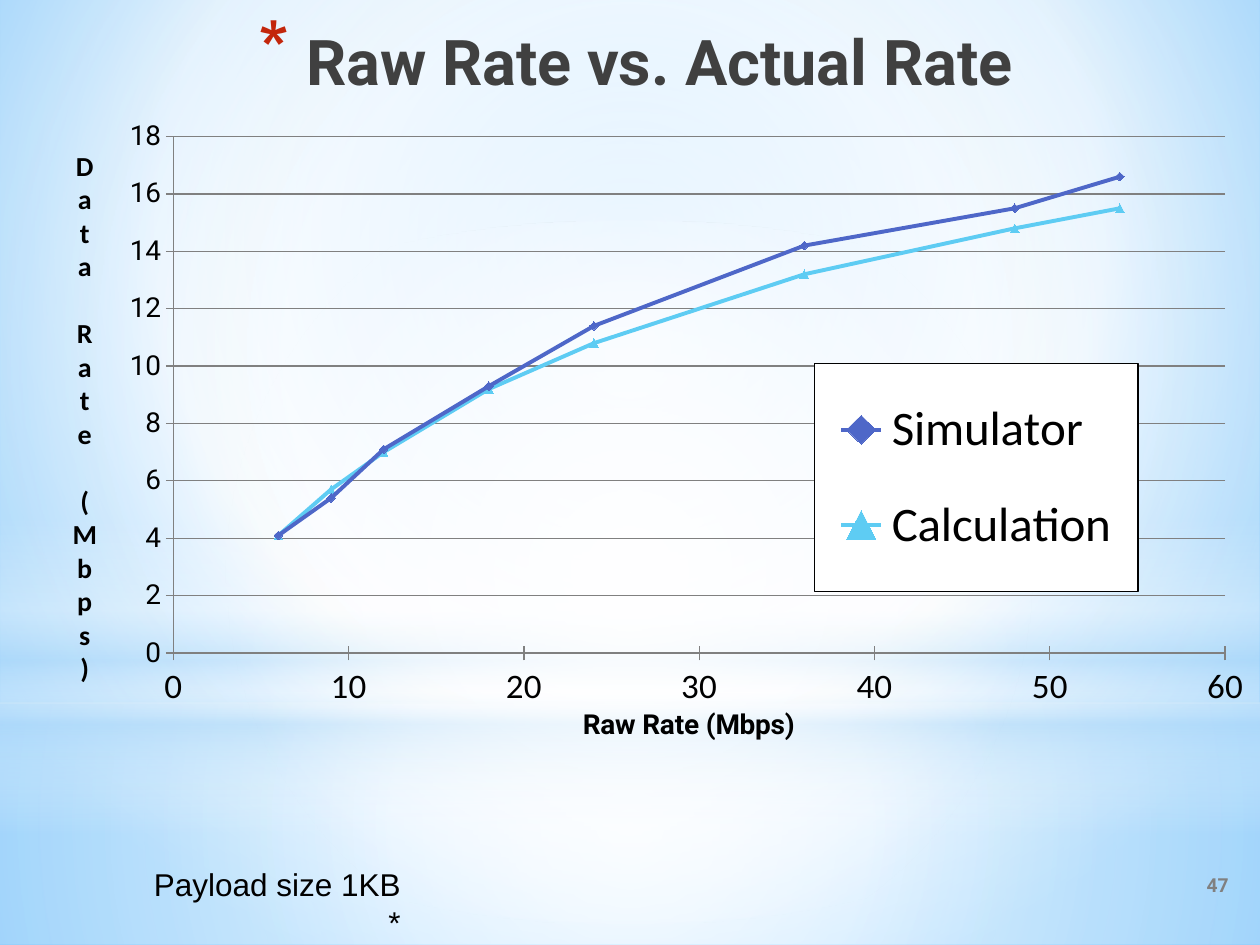
from lxml.etree import SubElement
from pptx import Presentation
from pptx.chart.data import XyChartData
from pptx.dml.color import RGBColor
from pptx.enum.chart import XL_CHART_TYPE, XL_LEGEND_POSITION, XL_MARKER_STYLE, XL_TICK_MARK
from pptx.enum.shapes import MSO_SHAPE
from pptx.enum.text import MSO_ANCHOR, PP_ALIGN
from pptx.oxml import parse_xml
from pptx.oxml.ns import nsdecls, qn
from pptx.util import Inches, Pt

BLACK = RGBColor(0x00, 0x00, 0x00)
WHITE = RGBColor(0xFF, 0xFF, 0xFF)
DARK_GRAY = RGBColor(0x40, 0x40, 0x40)
GRAY = RGBColor(0x80, 0x80, 0x80)
INDIGO = RGBColor(0x4E, 0x67, 0xC8)
SKY = RGBColor(0x5E, 0xCC, 0xF3)
PALE_BLUE = RGBColor(0xB4, 0xDC, 0xFA)
LIGHT_BLUE = RGBColor(0x9E, 0xD5, 0xFF)
BRIGHT_BLUE = RGBColor(0x5B, 0xB9, 0xFF)
BULLET_RED = RGBColor(0xC3, 0x26, 0x0C)


def set_gradient(element, stops, focus=None):
    """Swap the solid fill for (position, colour, opacity) stops in percent.

    focus is left, top, right, bottom of the circle's centre; None runs top to bottom.
    """
    stop_xml = "".join(
        f'<a:gs pos="{pos * 1000}"><a:srgbClr val="{color}">'
        f'<a:alpha val="{opacity * 1000}"/></a:srgbClr></a:gs>'
        for pos, color, opacity in stops)
    if focus:
        sides = " ".join(f'{side}="{value * 1000}"' for side, value in zip("ltrb", focus))
        direction = f'<a:path path="circle"><a:fillToRect {sides}/></a:path>'
    else:
        direction = '<a:lin ang="5400000" scaled="0"/>'
    solid = next(element.iter(qn("a:solidFill")))
    solid.getparent().replace(solid, parse_xml(
        f'<a:gradFill {nsdecls("a")} rotWithShape="1"><a:gsLst>{stop_xml}</a:gsLst>'
        f'{direction}</a:gradFill>'))


def set_layout(element, x, y, w=None, h=None, inner=False):
    """Place a chart part by fractions of the chart area."""
    for old in element.findall(qn("c:layout")):
        element.remove(old)
    values = [("xMode", "edge"), ("yMode", "edge"), ("x", x), ("y", y)]
    if inner:
        values.insert(0, ("layoutTarget", "inner"))
    if w:
        values += [("w", w), ("h", h)]
    parts = "".join(f'<c:{tag} val="{value}"/>' for tag, value in values)
    layout = parse_xml(f'<c:layout {nsdecls("c")}><c:manualLayout>{parts}'
                       '</c:manualLayout></c:layout>')
    before = element.find(qn("c:legendPos"))
    if before is None:
        before = element.find(qn("c:tx"))
    if before is None:
        element.insert(0, layout)
    else:
        before.addnext(layout)


prs = Presentation()
prs.slide_width, prs.slide_height = Inches(10), Inches(7.5)
slide = prs.slides.add_slide(prs.slide_layouts[6])

# Background and its soft light panels
slide.background.fill.solid()
slide.background.fill.fore_color.rgb = WHITE
set_gradient(slide.element,
             [(0, LIGHT_BLUE, 100), (60, WHITE, 100), (100, BRIGHT_BLUE, 100)],
             (20, 10, 20, 60))

CENTER = (50, 50, 50, 50)
light_panels = [
    (MSO_SHAPE.RECTANGLE, 5.58, 1.92, CENTER,
     [(0, WHITE, 91), (37, WHITE, 76), (100, PALE_BLUE, 79)]),
    (MSO_SHAPE.RECTANGLE, 0, 5.58, CENTER,
     [(0, WHITE, 89), (48, WHITE, 62), (100, PALE_BLUE, 79)]),
    (MSO_SHAPE.RECTANGLE, 4.12, 2.5, None,
     [(0, WHITE, 0), (29, WHITE, 30), (45, PALE_BLUE, 40),
      (55, WHITE, 26), (65, PALE_BLUE, 60), (100, WHITE, 0)]),
    (MSO_SHAPE.OVAL, 1.75, 5.58, CENTER, [(0, WHITE, 100), (56, WHITE, 0)]),
]
for outline, top, height, focus, stops in light_panels:
    panel = slide.shapes.add_shape(outline, 0, Inches(top), Inches(10), Inches(height))
    panel.shadow.inherit = False
    panel.line.fill.background()
    panel.fill.solid()
    panel.fill.fore_color.rgb = WHITE
    set_gradient(panel._element, stops, focus)

# Rate chart
raw_rates = [6, 9, 12, 18, 24, 36, 48, 54]
actual_rates = {
    "Simulator": [4.1, 5.4, 7.1, 9.3, 11.4, 14.2, 15.5, 16.6],
    "Calculation": [4.1, 5.7, 7, 9.2, 10.8, 13.2, 14.8, 15.5],
}
rate_data = XyChartData()
for name, rates in actual_rates.items():
    points = rate_data.add_series(name)
    for raw, actual in zip(raw_rates, rates):
        points.add_data_point(raw, actual)

chart = slide.shapes.add_chart(XL_CHART_TYPE.XY_SCATTER_LINES, Inches(0.14), Inches(0.36),
                               Inches(9.88), Inches(5.59), rate_data).chart
chart.has_title = False
chart.font.name, chart.font.size = "Roboto", Pt(10)
chart.font.color.rgb = BLACK
plot = chart.plots[0]
plot.vary_by_categories = False
set_layout(chart._chartSpace.chart.plotArea, 0.125, 0.132, 0.845, 0.747, inner=True)

series_styles = [(INDIGO, XL_MARKER_STYLE.DIAMOND), (SKY, XL_MARKER_STYLE.TRIANGLE)]
for series, (color, marker_style) in zip(plot.series, series_styles):
    series.smooth = False
    series.format.line.color.rgb = color
    series.format.line.width = Pt(2.25)
    series.marker.style = marker_style
    series.marker.size = 5
    series.marker.format.fill.solid()
    series.marker.format.fill.fore_color.rgb = color
    series.marker.format.line.color.rgb = color

axes = [
    (chart.category_axis, "Raw Rate (Mbps)", 60, 10, "Calibri", 20, "Roboto", (0.45, 0.95)),
    (chart.value_axis, "Data Rate (Mbps)", 18, 2, "Roboto", 16, "Calibri", (0.04, 0.14)),
]
for axis, title, top_value, step, font, size, title_font, place in axes:
    axis.minimum_scale, axis.maximum_scale, axis.major_unit = 0, top_value, step
    axis.major_tick_mark = XL_TICK_MARK.CROSS
    axis.minor_tick_mark = XL_TICK_MARK.NONE
    axis.format.line.color.rgb = GRAY
    axis.tick_labels.font.name, axis.tick_labels.font.size = font, Pt(size)
    axis.tick_labels.font.color.rgb = BLACK
    axis.tick_labels.number_format = "General"
    axis.tick_labels.number_format_is_linked = False
    title_frame = axis.axis_title.text_frame
    title_frame.text = title
    title_run = title_frame.paragraphs[0].runs[0].font
    title_run.name, title_run.size, title_run.bold = title_font, Pt(16), True
    title_run.color.rgb = BLACK
    set_layout(axis.axis_title._element, *place)
chart.category_axis.has_major_gridlines = False
chart.value_axis.has_major_gridlines = True
chart.value_axis.major_gridlines.format.line.color.rgb = GRAY
stacked = chart.value_axis.axis_title.text_frame._txBody.bodyPr
stacked.set("rot", "0")
stacked.set("vert", "wordArtVert")

chart.has_legend = True
legend = chart.legend
legend.position = XL_LEGEND_POSITION.CORNER
legend.include_in_layout = False
legend.font.name, legend.font.size = "Calibri", Pt(28)
legend.font.color.rgb = BLACK
set_layout(legend._element, 0.64, 0.46, 0.26, 0.33)
legend._element.find(qn("c:overlay")).addnext(parse_xml(
    f'<c:spPr {nsdecls("c", "a")}><a:solidFill><a:srgbClr val="{WHITE}"/></a:solidFill>'
    f'<a:ln w="9525"><a:solidFill><a:srgbClr val="{BLACK}"/></a:solidFill></a:ln></c:spPr>'))

# Title, slide number and payload note
texts = [
    ("Raw Rate vs. Actual Rate", (0.91, 0.13, 8.27, 1.1), PP_ALIGN.CENTER,
     MSO_ANCHOR.TOP, "Roboto", 36, True, DARK_GRAY),
    ("47", (6.18, 6.82, 3.67, 0.4), PP_ALIGN.RIGHT,
     MSO_ANCHOR.MIDDLE, "Roboto", 11, True, GRAY),
    ("Payload size 1KB *", (1.1, 6.82, 2.31, 0.4), PP_ALIGN.RIGHT,
     MSO_ANCHOR.TOP, "Arial", 18, False, BLACK),
]
frames = []
for text, box, align, anchor, font, size, bold, color in texts:
    frame = slide.shapes.add_textbox(*map(Inches, box)).text_frame
    frame.word_wrap = True
    frame.vertical_anchor = anchor
    frame.text = text
    frame.paragraphs[0].alignment = align
    run_font = frame.paragraphs[0].runs[0].font
    run_font.name, run_font.size, run_font.bold = font, Pt(size), bold
    run_font.color.rgb = color
    frames.append(frame)
heading, _, payload_note = frames
payload_note.margin_right = Inches(0.23)

heading_format = heading.paragraphs[0]._p.get_or_add_pPr()
heading_format.set("marL", str(Inches(0.38)))
heading_format.set("indent", str(Inches(-0.38)))
bullet_color = SubElement(heading_format, qn("a:buClr"))
SubElement(bullet_color, qn("a:srgbClr"), val=str(BULLET_RED))
SubElement(heading_format, qn("a:buSzPct"), val="128000")
SubElement(heading_format, qn("a:buChar"), char="*")

prs.save("out.pptx")
